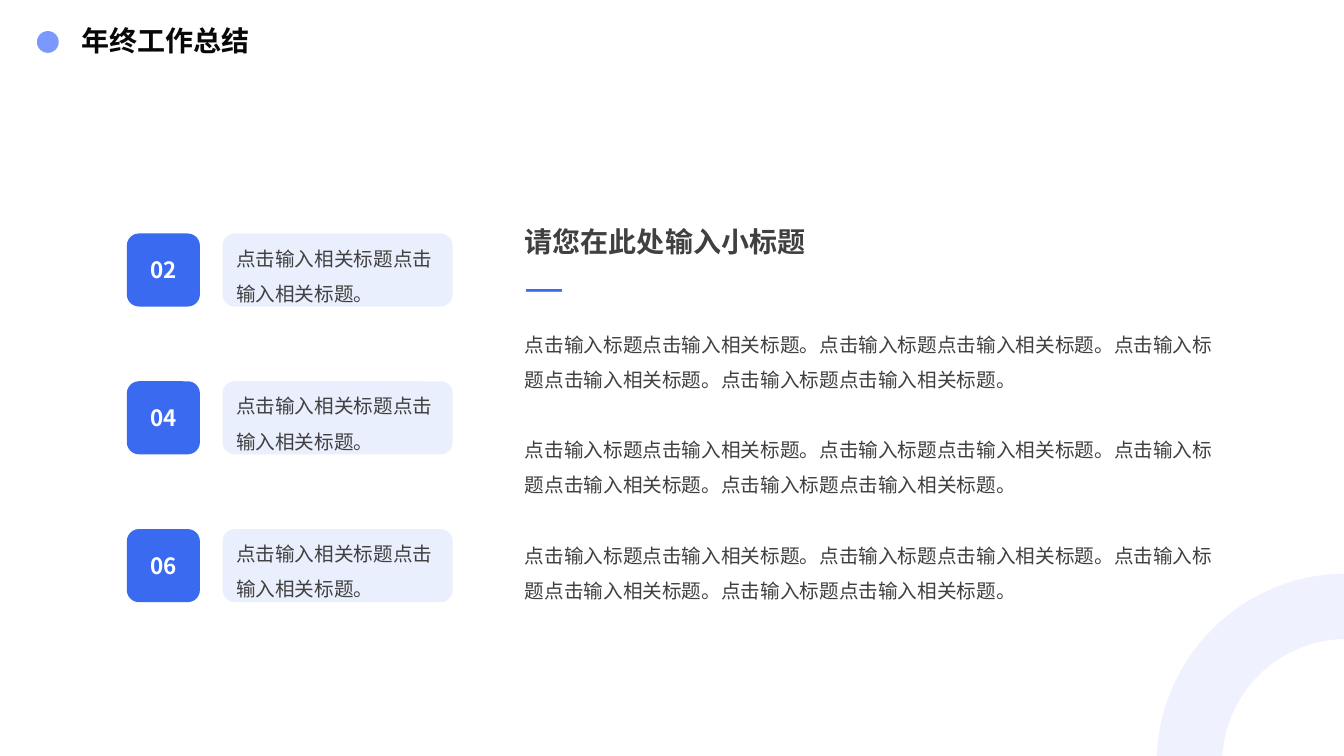
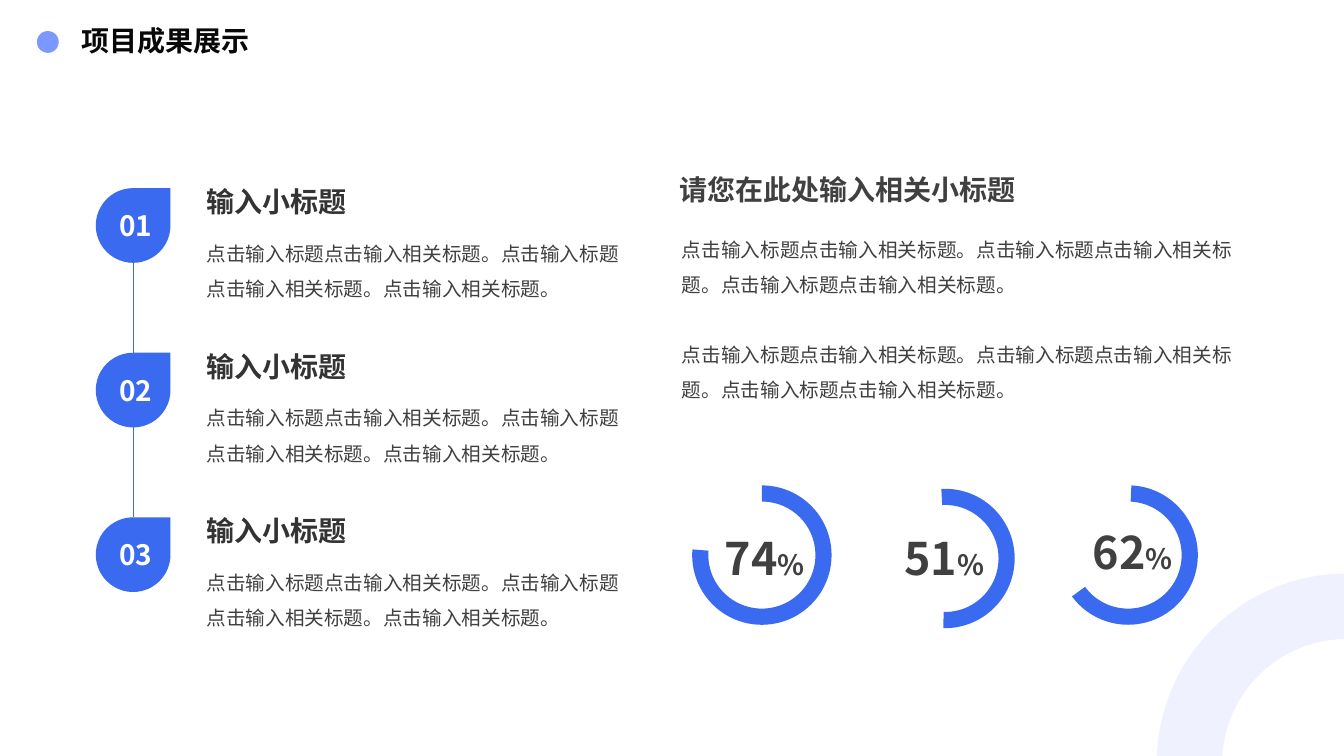
"""Build two slides of a year-end work report."""
from collections import namedtuple
from math import cos, radians, sin

from lxml.etree import SubElement
from pptx import Presentation
from pptx.dml.color import RGBColor
from pptx.enum.shapes import MSO_CONNECTOR as Link, MSO_SHAPE as Kind
from pptx.enum.text import MSO_ANCHOR as Anchor, MSO_AUTO_SIZE as Fit, PP_ALIGN as Align
from pptx.oxml.ns import qn
from pptx.util import Inches, Pt

COLS, ROWS = 160, 90
WIDE, HIGH = Inches(13.33), Inches(7.5)
CELL = WIDE / COLS
FONT = "Noto Sans CJK SC"
HUES = {
    "blue": "3A6AEF", "dot": "7B98FF", "arc": "97ADFC", "page": "FFFFFF",
    "title": "080808", "head": "333333", "text": "404040",
}
LEAD = "点击输入标题点击输入相关标题。"
Box = namedtuple("Box", "x y w h")
Ring = namedtuple("Ring", "value start sweep drop label")


def scale(*cells):
    """Turn grid cells into slide lengths."""
    return [round(cell * CELL) for cell in cells]


def tint(name):
    """Look up a colour."""
    return RGBColor.from_string(HUES[name])


def paint(shape, hue, alpha=None):
    """Fill a shape flat, with an optional opacity in percent."""
    shape.shadow.inherit = False
    shape.line.fill.background()
    shape.fill.solid()
    shape.fill.fore_color.rgb = tint(hue)
    if alpha:
        tone = shape._element.spPr.find(qn("a:solidFill"))[0]
        SubElement(tone, qn("a:alpha")).set("val", str(alpha * 1000))
    return shape


def draw(slide, kind, box, hue, alpha=None):
    """Add a flat preset shape."""
    return paint(slide.shapes.add_shape(kind, *scale(*box)), hue, alpha)


def style(run, size, hue, bold=False):
    """Set the type of a run."""
    font = run.font
    font.size, font.bold, font.name = Pt(size), bold, FONT
    font.color.rgb = tint(hue)
    SubElement(font._element, qn("a:ea")).set("typeface", FONT)


def write(frame, lines, size, hue="text", bold=False, lead=None, gap=0,
          align=Align.LEFT, anchor=Anchor.TOP):
    """Fill a frame with paragraphs of one style."""
    frame.word_wrap, frame.vertical_anchor = True, anchor
    frame.text = "\n".join(lines)
    for rank, para in enumerate(frame.paragraphs):
        para.alignment, para.line_spacing = align, lead
        para.space_before = Pt(gap if rank else 0)
        style(para.runs[0], size, hue, bold)
    return frame


def label(slide, box, lines, size, **look):
    """Add a text box."""
    frame = slide.shapes.add_textbox(*scale(*box)).text_frame
    return write(frame, lines, size, **look)


def prose(slide, box, lines):
    """Add body text with a clear line between paragraphs."""
    label(slide, box, lines, 14, lead=1.5, gap=25)


def corner(slide, box):
    """Draw the pale quarter ring, cut at the slide edges."""
    def edge(radius, turns):
        return [(min(box.x + box.w - radius * cos(radians(turn)), COLS),
                 min(box.y + box.h - radius * sin(radians(turn)), ROWS))
                for turn in turns]

    rim = edge(box.w, range(0, 91, 2)) + edge(box.w * 0.655, range(90, -1, -2))
    dots = [scale(*dot) for dot in rim]
    path = slide.shapes.build_freeform(*dots[0])
    path.add_line_segments(dots[1:])
    paint(path.convert_to_shape(), "arc", 15)


def start(deck, name):
    """Add a slide with its title, dot and corner ring."""
    slide = deck.slides.add_slide(deck.slide_layouts[5])
    corner(slide, Box(137.7, 68.3, 22.6, 22.6))
    draw(slide, Kind.OVAL, Box(4.4, 3.7, 2.6, 2.6), "dot")
    title = slide.shapes.title
    title.left, title.top, title.width, title.height = scale(8.5, 3.7, 28, 4)
    frame = write(title.text_frame, [name], 20, "title", True, Pt(15))
    frame.auto_size = Fit.NONE
    return slide


def tiles(slide, box, marks):
    """Stack numbered tiles, each with a pale note beside it."""
    side = 8.7
    step = (box.h - side) / (len(marks) - 1)
    for row, mark in enumerate(marks):
        top = box.y + row * step
        tile = draw(slide, Kind.ROUNDED_RECTANGLE, Box(box.x, top, side, side), "blue")
        frame = write(tile.text_frame, [mark], 16, "page", True,
                      align=Align.CENTER, anchor=Anchor.MIDDLE)
        frame.margin_left = frame.margin_right = 0
        frame.margin_top = frame.margin_bottom = 0
        note = draw(slide, Kind.ROUNDED_RECTANGLE,
                    Box(box.x + 11.4, top, box.w - 11.4, side), "blue", 10)
        write(note.text_frame, ["点击输入相关标题" * 2 + "。"], 14,
              lead=1.5, anchor=Anchor.MIDDLE)


def essay(slide, box):
    """Set a heading with a dash above three paragraphs."""
    frame = label(slide, Box(box.x, box.y, box.w / 2, 12),
                  ["请您在此处输入小标题"], 20, bold=True)
    dash = frame.add_paragraph()
    dash.text = "—"
    style(dash.runs[0], 32, "blue")
    prose(slide, Box(box.x, box.y + 11.4, box.w, box.h - 11.4), [LEAD * 4] * 3)


def steps(slide, box, count):
    """Stack numbered drops on a line, each with heading and text."""
    side = 8.9
    step = (box.h - side) / (count - 1)
    mid = box.x + side / 2
    line = slide.shapes.add_connector(
        Link.STRAIGHT, *scale(mid, box.y + side, mid, box.y + box.h - side))
    line.line.color.rgb, line.line.width = tint("blue"), Pt(0.5)
    SubElement(line._element.spPr, qn("a:effectLst"))
    for row in range(count):
        top = box.y + row * step
        drop = draw(slide, Kind.TEAR, Box(box.x, top, side, side), "blue")
        frame = write(drop.text_frame, [f"{row + 1:02}"], 20, "page", True,
                      align=Align.CENTER, anchor=Anchor.MIDDLE)
        frame.margin_left, frame.margin_right = Inches(0.05), 0
        left, width = box.x + 12, box.w - 12
        label(slide, Box(left, top - 1.3, width, 5.8), ["输入小标题"], 20,
              hue="head", bold=True, anchor=Anchor.MIDDLE)
        prose(slide, Box(left, top + 4.4, width, 11.2),
              [LEAD * 2 + "点击输入相关标题。"])


def rings(slide, box, items):
    """Set a row of arcs with their percentages."""
    step = (box.w - box.h) / (len(items) - 1)
    for rank, item in enumerate(items):
        left = box.x + rank * step
        arc = draw(slide, Kind.BLOCK_ARC,
                   Box(left, box.y + item.drop, box.h, box.h), "blue")
        arc.adjustments[0] = item.start * 0.6
        arc.adjustments[1] = (item.start + item.sweep) % 360 * 0.6
        arc.adjustments[2] = 0.116
        over, down = item.label
        frame = label(slide, Box(left + over, box.y + down, 14, 7.7),
                      [item.value], 32, bold=True)
        sign = frame.paragraphs[0].add_run()
        sign.text = "%"
        style(sign, 20, "text", True)


def recap(deck):
    """Build the year-end recap."""
    slide = start(deck, "年终工作总结")
    tiles(slide, Box(15.1, 27.8, 38.8, 43.9), ["02", "04", "06"])
    essay(slide, Box(61.3, 26.2, 86.5, 46))


def results(deck):
    """Build the project results."""
    slide = start(deck, "项目成果展示")
    steps(slide, Box(11.4, 22.4, 64, 48.1), 3)
    label(slide, Box(79.7, 19.9, 55.7, 5.3), ["请您在此处输入相关小标题"], 20, bold=True)
    prose(slide, Box(80, 26.3, 68, 22), [LEAD * 3] * 2)
    rings(slide, Box(82.4, 57.8, 60.2, 16.6), [
        Ring("74", 270, 274.7, 0, (2.7, 4.8)),
        Ring("51", 267, 184.4, 0.4, (2.3, 4.8)),
        Ring("62", 272.7, 230.9, 0, (2.9, 4.1)),
    ])


def main():
    """Build and save the deck."""
    deck = Presentation()
    deck.slide_width, deck.slide_height = WIDE, HIGH
    recap(deck)
    results(deck)
    deck.save("out.pptx")


if __name__ == "__main__":
    main()
